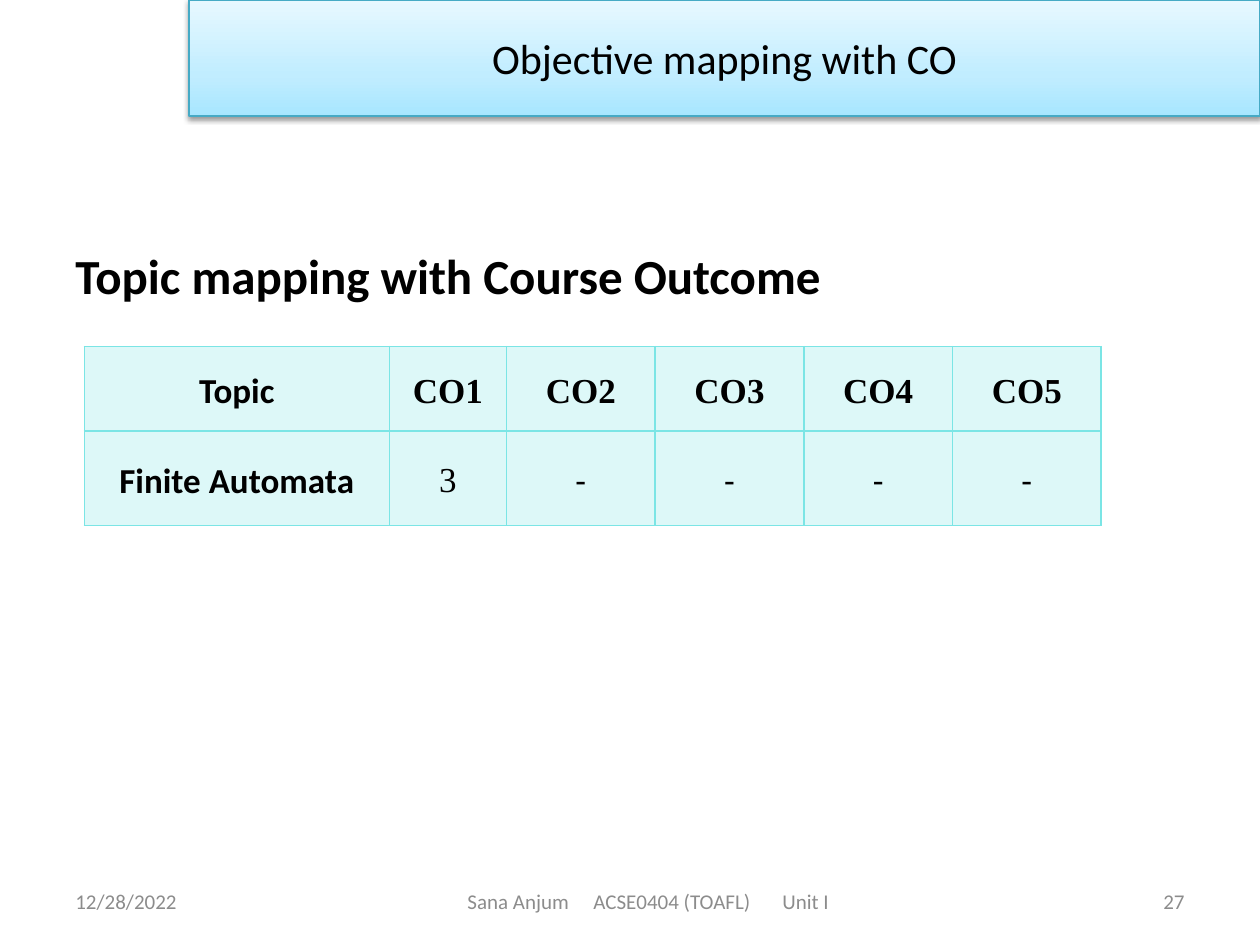
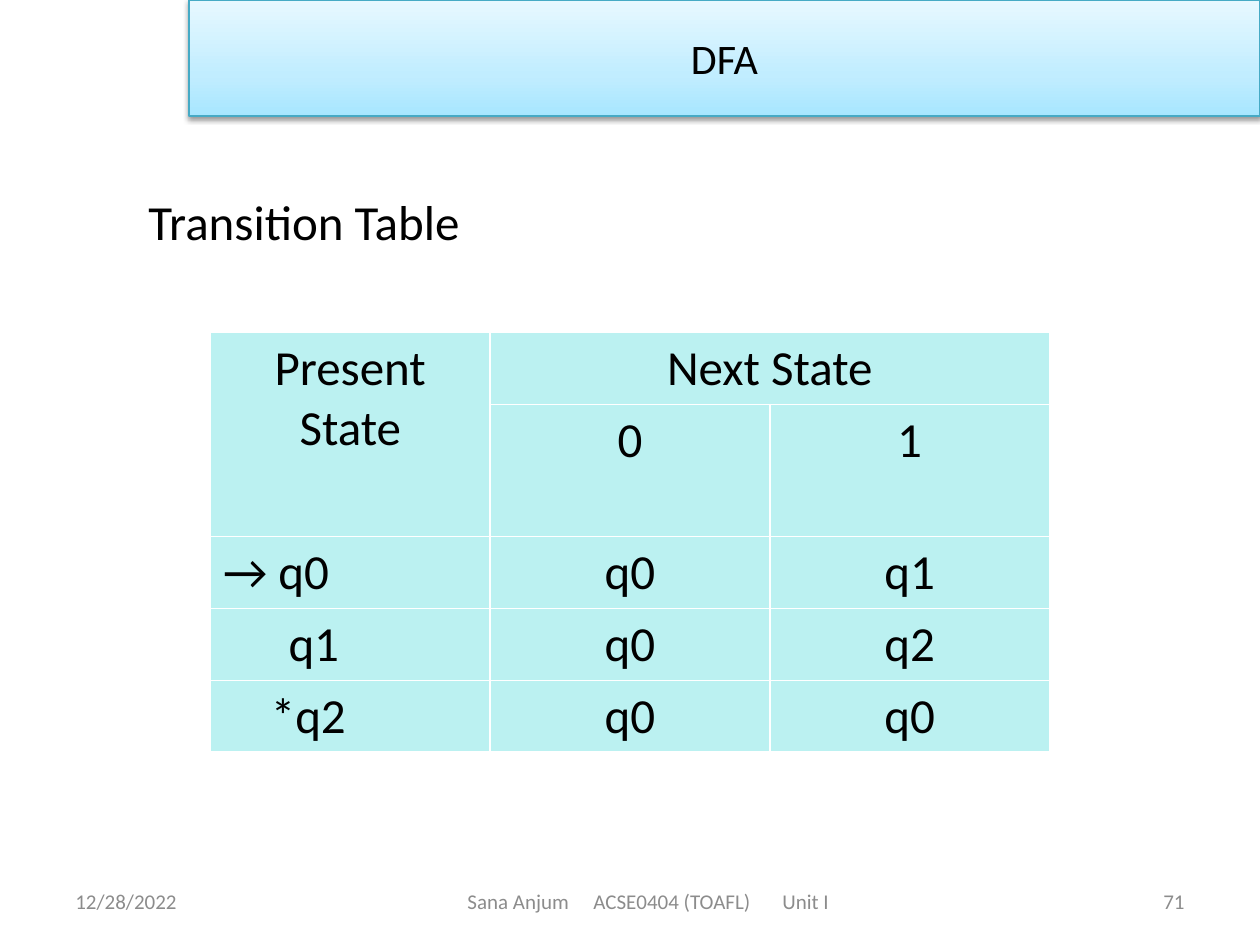
from copy import deepcopy

from lxml import etree
from pptx import Presentation
from pptx.dml.color import RGBColor
from pptx.enum.text import MSO_ANCHOR, PP_ALIGN
from pptx.oxml.ns import qn
from pptx.util import Inches, Pt

LEFT, CENTER, RIGHT = PP_ALIGN.LEFT, PP_ALIGN.CENTER, PP_ALIGN.RIGHT
TOP, MIDDLE = MSO_ANCHOR.TOP, MSO_ANCHOR.MIDDLE
SLIDE_W, SLIDE_H = 10, 7.5
TITLE_ONLY = 5

BLACK, WHITE, GREY = "000000", "FFFFFF", "8C8C8C"
AQUA, BAND_LINE = "7BE5E5", "46AAC5"
BAND_STOPS = [(0, "A7E6FF"), (0.35, "C1EDFF"), (1, "E7F8FF")]
SANS, SERIF = "Calibri", "Times New Roman"

BAND_BOX = (0.15 * SLIDE_W, 0, 0.85 * SLIDE_W, 0.92)
FOOTER_BOX = (0.5, 6.95, 9, 0.4)
DATE = "12/28/2022"
FOOTER = "Sana Anjum\tACSE0404 (TOAFL)\tUnit I"
FOOTER_TABS = (1.29, 3.21)


def rgb(value):
    return RGBColor.from_string(value)


def add_xml(parent, tag, **attributes):
    return etree.SubElement(parent, qn(tag), {k: str(v) for k, v in attributes.items()})


def write(frame, text, size, color=BLACK, font=SANS, bold=False, align=LEFT, anchor=TOP):
    """Put one formatted paragraph into a text frame."""
    frame.text = text
    frame.word_wrap = True
    frame.vertical_anchor = anchor
    paragraph = frame.paragraphs[0]
    paragraph.alignment = align
    for run in paragraph.runs:
        run.font.size, run.font.bold, run.font.name = Pt(size), bold, font
        run.font.color.rgb = rgb(color)
    return paragraph


def add_text(slide, box, text, size, **style):
    frame = slide.shapes.add_textbox(*map(Inches, box)).text_frame
    write(frame, text, size, **style)
    return frame


def title_band(slide, box, text):
    band = slide.shapes.title
    band.left, band.top, band.width, band.height = map(Inches, box)
    write(band.text_frame, text, 24, align=CENTER, anchor=MIDDLE)
    # Gradient running upwards
    band.fill.gradient()
    band.fill.gradient_angle = 90
    properties = band.element.spPr
    stop_list = properties.find(".//" + qn("a:gsLst"))
    stop_list.insert(1, deepcopy(stop_list[0]))
    for stop, (position, color) in zip(band.fill.gradient_stops, BAND_STOPS):
        stop.position = position
        stop.color.rgb = rgb(color)
    band.line.color.rgb = rgb(BAND_LINE)
    band.line.width = Pt(0.75)
    # Soft shadow below
    band.shadow.inherit = False
    shadow = add_xml(properties.find(qn("a:effectLst")), "a:outerShdw", blurRad=Pt(3.1),
                     dist=Pt(1.6), dir=5400000, rotWithShape=0)
    add_xml(add_xml(shadow, "a:srgbClr", val=BLACK), "a:alpha", val=38000)


def footer(slide, box, page):
    left, top, width, height = box
    style = {"color": GREY, "anchor": MIDDLE}
    side = 0.26 * width
    add_text(slide, (left, top, side, height), DATE, 12, **style)
    course = add_text(slide, (left + 0.25 * width, top, 0.61 * width, height), "", 12, **style)
    course.margin_left = Inches(0.96)
    tabs = add_xml(course.paragraphs[0]._p.get_or_add_pPr(), "a:tabLst")
    for position in FOOTER_TABS:
        add_xml(tabs, "a:tab", pos=Inches(position), algn="l")
    write(course, FOOTER, 12, **style)
    add_text(slide, (left + width - side, top, side, height), str(page), 12,
             align=RIGHT, **style)


def add_grid(slide, left, top, columns, rows, fill_alpha, border):
    """Add a table whose cells share one translucent fill and one border."""
    table = slide.shapes.add_table(len(rows), len(columns), *map(
        Inches, (left, top, sum(columns), sum(rows)))).table
    table.first_row = table.horz_banding = False
    for column, width in zip(table.columns, columns):
        column.width = Inches(width)
    for row, height in zip(table.rows, rows):
        row.height = Inches(height)
    for cell in table.iter_cells():
        properties = cell._tc.get_or_add_tcPr()
        for side in "LRTB":
            line = add_xml(properties, "a:ln" + side, w=Pt(1))
            add_xml(add_xml(line, "a:solidFill"), "a:srgbClr", val=border)
        cell.fill.solid()
        cell.fill.fore_color.rgb = rgb(AQUA)
        color = properties.find(qn("a:solidFill")).find(qn("a:srgbClr"))
        add_xml(color, "a:alpha", val=fill_alpha * 1000)
    return table


def write_cell(cell, text, size, **style):
    paragraph = write(cell.text_frame, text, size, **style)
    cell.vertical_anchor = style.get("anchor", TOP)
    return paragraph


def outcome_table(slide, left, top):
    outcomes = [f"CO{number}" for number in range(1, 6)]
    content = [["Topic"] + outcomes, ["Finite Automata", "3"] + ["-"] * 4]
    table = add_grid(slide, left, top, [2.42, 0.93] + [1.18] * 4, [0.67, 0.75], 25, AQUA)
    for r, texts in enumerate(content):
        for c, text in enumerate(texts):
            cell = table.cell(r, c)
            cell.margin_left = cell.margin_right = Inches(0.07)
            cell.margin_top = cell.margin_bottom = 0
            font = SERIF if text in outcomes + ["3"] else SANS
            paragraph = write_cell(cell, text, 20, font=font, bold=r == 0 or c == 0,
                                   align=CENTER, anchor=MIDDLE)
            paragraph.line_spacing = 1.15
            if r and c:
                paragraph.space_after = Pt(10)


def transition_table(slide, left, top):
    table = add_grid(slide, left, top, [2.22] * 3, [0.57, 1.05] + [0.57] * 3, 51, WHITE)
    # Merged headings
    table.cell(0, 0).merge(table.cell(1, 0))
    table.cell(0, 1).merge(table.cell(0, 2))
    headings = {(0, 0): "Present State", (0, 1): "Next State", (1, 1): "0", (1, 2): "1"}
    for position, text in headings.items():
        write_cell(table.cell(*position), text, 28, align=CENTER)
    # State, its left margin, and the next states
    states = [("→ q0", 0.1, "q0", "q1"), ("q1", 0.62, "q0", "q2"), ("*q2", 0.48, "q0", "q0")]
    for r, (state, margin, *next_states) in enumerate(states, start=2):
        table.cell(r, 0).margin_left = Inches(margin)
        write_cell(table.cell(r, 0), state, 28)
        for c, next_state in enumerate(next_states, start=1):
            write_cell(table.cell(r, c), next_state, 28, align=CENTER)


def add_slide(deck, title, page):
    slide = deck.slides.add_slide(deck.slide_layouts[TITLE_ONLY])
    title_band(slide, BAND_BOX, title)
    footer(slide, FOOTER_BOX, page)
    return slide


def main():
    deck = Presentation()
    deck.slide_width, deck.slide_height = Inches(SLIDE_W), Inches(SLIDE_H)

    mapping = add_slide(deck, "Objective mapping with CO", 27)
    add_text(mapping, (0.5, 1.9, 9, 0.6), "Topic mapping with Course Outcome", 28, bold=True)
    outcome_table(mapping, 0.67, 2.75)

    dfa = add_slide(deck, "DFA", 71)
    add_text(dfa, (1.08, 1.47, 8.5, 0.6), "Transition Table", 28)
    transition_table(dfa, 1.67, 2.64)

    deck.save("out.pptx")


if __name__ == "__main__":
    main()
